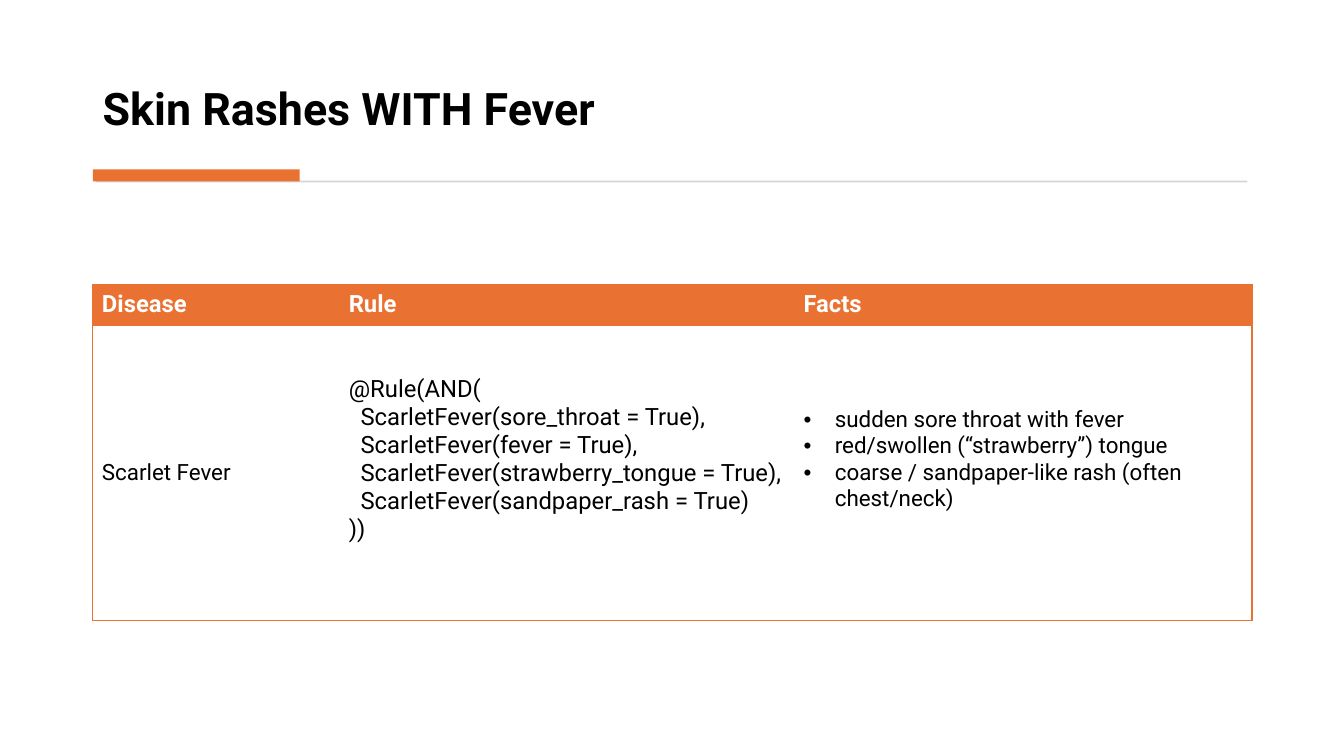
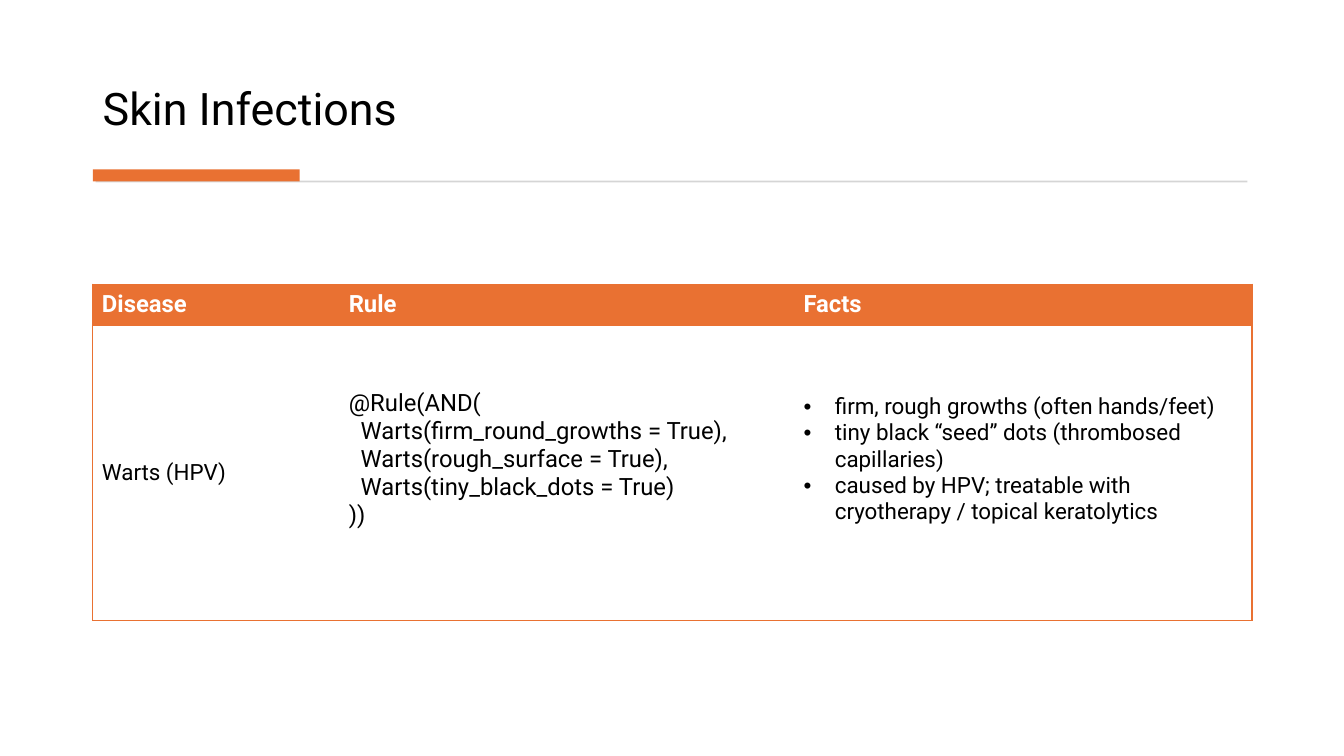
from lxml.etree import SubElement
from pptx import Presentation
from pptx.dml.color import RGBColor
from pptx.enum.shapes import MSO_SHAPE
from pptx.enum.text import MSO_ANCHOR
from pptx.oxml.ns import qn
from pptx.util import Cm, Pt

ORANGE, GREY, WHITE, BLACK = "E97132", "D5D5D5", "FFFFFF", "000000"
LEFT = Cm(2.34)
COLUMN_WIDTHS = [Cm(6.22), Cm(11.46), Cm(11.53)]
ROW_HEIGHTS = [Cm(1.04), Cm(7.44)]
HEADINGS = ["Disease", "Rule", "Facts"]
NO_STYLE = "{2D5ABB26-0587-4C30-8999-92F81FD0307C}"

# The rule and the facts sit a little above the middle of their row.
CELL_MARGINS = {"margin_left": Cm(0.23), "margin_right": Cm(0.23), "margin_top": Cm(0.13)}
HEADER_FONT = {"size": Pt(17), "bold": True}
BODY = [
    {"bottom": Cm(0.13), "font": {"size": Pt(16), "bold": False}},
    {"bottom": Cm(0.82), "font": {"size": Pt(17), "bold": False}},
    {"bottom": Cm(0.82), "font": {"size": Pt(16), "bold": False}},
]

TOPICS = [
    {
        "title": "Skin Rashes WITH Fever",
        "bold": True,
        "disease": "Scarlet Fever",
        "rule": [
            "@Rule(AND(",
            "  ScarletFever(sore_throat = True),",
            "  ScarletFever(fever = True),",
            "  ScarletFever(strawberry_tongue = True),",
            "  ScarletFever(sandpaper_rash = True)",
            "))",
        ],
        "facts": [
            "sudden sore throat with fever",
            "red/swollen (“strawberry”) tongue",
            "coarse / sandpaper-like rash (often chest/neck)",
        ],
    },
    {
        "title": "Skin Infections",
        "bold": False,
        "disease": "Warts (HPV)",
        "rule": [
            "@Rule(AND(",
            "  Warts(firm_round_growths = True),",
            "  Warts(rough_surface = True),",
            "  Warts(tiny_black_dots = True)",
            "))",
        ],
        "facts": [
            "firm, rough growths (often hands/feet)",
            "tiny black “seed” dots (thrombosed capillaries)",
            "caused by HPV; treatable with cryotherapy / topical keratolytics",
        ],
    },
]


def rgb(value):
    return RGBColor.from_string(value)


def write_lines(frame, lines, color, font_format, bulleted=False):
    """Fill a text frame with one paragraph per line."""
    for number, line in enumerate(lines):
        paragraph = frame.add_paragraph() if number else frame.paragraphs[0]
        if bulleted:
            properties = paragraph._p.get_or_add_pPr()
            properties.set("marL", str(Cm(0.79)))
            properties.set("indent", str(-Cm(0.79)))
            SubElement(properties, qn("a:buFont"), typeface="Arial")
            SubElement(properties, qn("a:buChar"), char="•")
        run = paragraph.add_run()
        run.text = line
        run.font.name = "Roboto"
        run.font.color.rgb = rgb(color)
        for attribute, value in font_format.items():
            setattr(run.font, attribute, value)


deck = Presentation()
deck.slide_width, deck.slide_height = Cm(33.87), Cm(19.05)

for topic in TOPICS:
    slide = deck.slides.add_slide(deck.slide_layouts[6])

    title = slide.shapes.add_textbox(LEFT, Cm(0.71), Cm(29.18), Cm(2.82)).text_frame
    title.word_wrap = True
    title.vertical_anchor = MSO_ANCHOR.BOTTOM
    write_lines(title, [topic["title"]], BLACK, {"size": Pt(32), "bold": topic["bold"]})
    title.paragraphs[0].line_spacing = 0.9

    for left, top, width, height, color in [
        (Cm(2.41), Cm(4.55), Cm(29.03), Cm(0.05), GREY),
        (LEFT, Cm(4.27), Cm(5.21), Cm(0.3), ORANGE),
    ]:
        band = slide.shapes.add_shape(MSO_SHAPE.RECTANGLE, left, top, width, height)
        band.shadow.inherit = False
        band.fill.solid()
        band.fill.fore_color.rgb = rgb(color)
        band.line.fill.background()

    table = slide.shapes.add_table(
        len(ROW_HEIGHTS), len(COLUMN_WIDTHS), LEFT, Cm(7.16), sum(COLUMN_WIDTHS), sum(ROW_HEIGHTS)
    ).table
    table.horz_banding = False
    table._tbl.tblPr.find(qn("a:tableStyleId")).text = NO_STYLE
    for column, width in zip(table.columns, COLUMN_WIDTHS):
        column.width = width
    for row, height in zip(table.rows, ROW_HEIGHTS):
        row.height = height

    contents = [[[heading] for heading in HEADINGS], [[topic["disease"]], topic["rule"], topic["facts"]]]
    last_column = len(HEADINGS) - 1
    for row_number, row_contents in enumerate(contents):
        is_header = row_number == 0
        for column_number, lines in enumerate(row_contents):
            cell = table.cell(row_number, column_number)
            body = BODY[column_number]
            cell.vertical_anchor = MSO_ANCHOR.MIDDLE
            for attribute, value in CELL_MARGINS.items():
                setattr(cell, attribute, value)
            cell.margin_bottom = Cm(0.13) if is_header else body["bottom"]

            borders = {
                "a:lnL": column_number == 0,
                "a:lnR": column_number == last_column,
                "a:lnT": True,
                "a:lnB": True,
            }
            for tag, drawn in borders.items():
                if drawn:
                    border = SubElement(cell._tc.get_or_add_tcPr(), qn(tag), w=str(Pt(1)))
                    SubElement(SubElement(border, qn("a:solidFill")), qn("a:srgbClr"), val=ORANGE)
            cell.fill.solid()
            cell.fill.fore_color.rgb = rgb(ORANGE if is_header else WHITE)

            write_lines(
                cell.text_frame,
                lines,
                WHITE if is_header else BLACK,
                HEADER_FONT if is_header else body["font"],
                bulleted=not is_header and column_number == last_column,
            )

deck.save("out.pptx")
